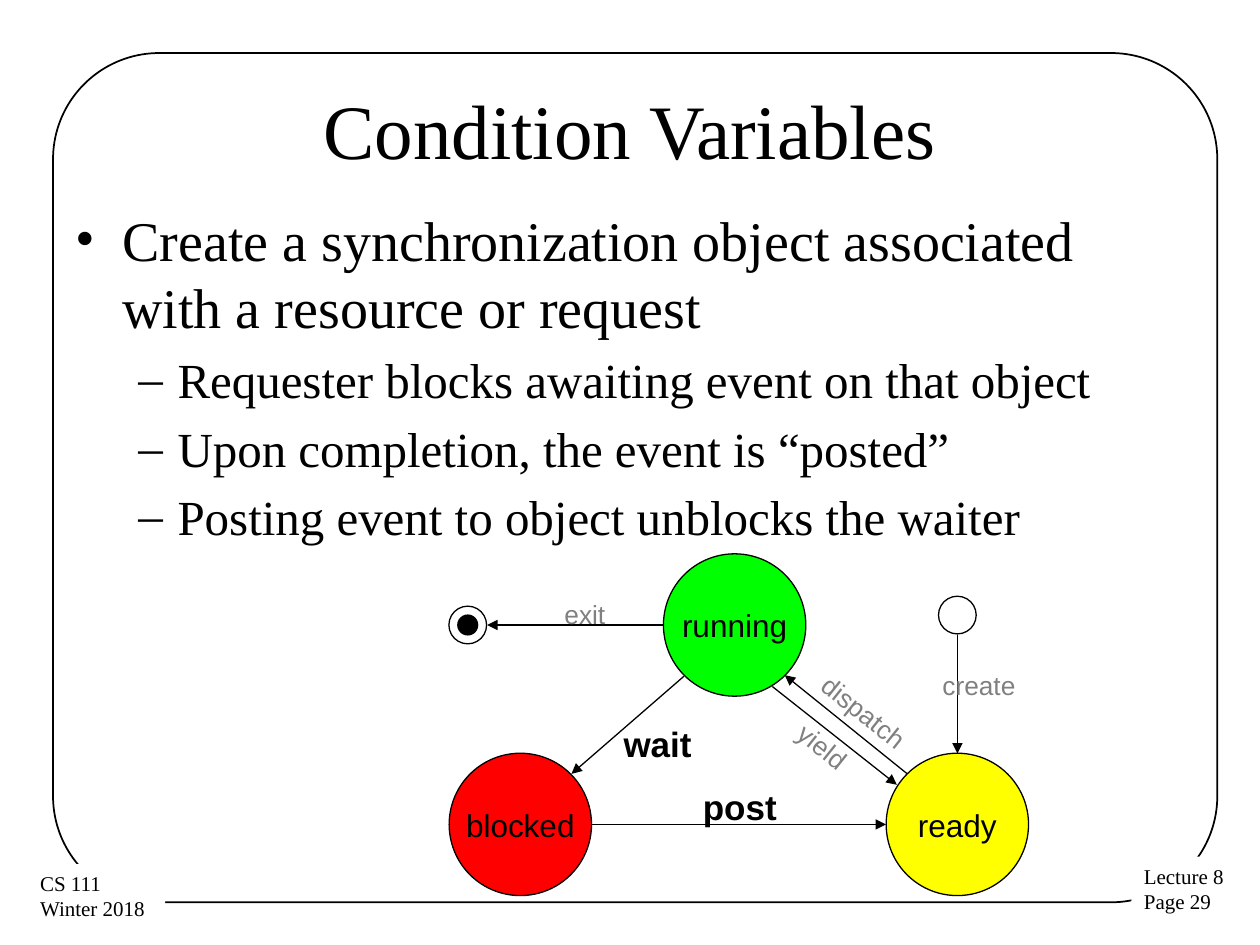
from pptx import Presentation
from pptx.dml.color import RGBColor
from pptx.enum.shapes import MSO_CONNECTOR as Link, MSO_SHAPE as Form
from pptx.enum.text import MSO_ANCHOR as Anchor, PP_ALIGN as Align
from pptx.oxml.ns import qn
from pptx.util import Cm, Pt
from lxml.etree import SubElement as Sub

SERIF, SANS = "Times New Roman", "Arial"
BLACK, GRAY, WHITE = "000000", "808080", "FFFFFF"
BIG, SMALL, DOT = 2.87, 0.76, 0.4


def color(text):
    """Turn a hex string into a colour."""
    return RGBColor.from_string(text)


def write(shape, text, size=12, font=SERIF, ink=BLACK, bold=False,
          align=Align.LEFT, anchor=Anchor.TOP, wrap=False, pad=0.25):
    """Fill a shape with one paragraph per line and return the paragraphs."""
    frame = shape.text_frame
    frame.text = text
    frame.word_wrap = wrap
    frame.vertical_anchor = anchor
    frame.margin_left = frame.margin_right = Cm(pad)
    frame.margin_top = frame.margin_bottom = Cm(0.13)
    for para in frame.paragraphs:
        para.alignment = align
        face = para.runs[0].font
        face.size, face.name, face.bold = Pt(size), font, bold
        face.color.rgb = color(ink)
    return frame.paragraphs


def box(slide, area, text, turn=0, **style):
    """Add a text box and return its paragraphs."""
    shape = slide.shapes.add_textbox(*map(Cm, area))
    shape.rotation = turn
    return write(shape, text, **style)


def draw(slide, form, area, fill=None, width=0.75):
    """Add a preset shape with an optional fill and outline."""
    shape = slide.shapes.add_shape(form, *map(Cm, area))
    shape.shadow.inherit = False
    if fill:
        shape.fill.solid()
        shape.fill.fore_color.rgb = color(fill)
    else:
        shape.fill.background()
    if width:
        shape.line.color.rgb = color(BLACK)
        shape.line.width = Pt(width)
    else:
        shape.line.fill.background()
    return shape


def disc(slide, x, y, size, fill=None):
    """Add a circle around a centre."""
    area = x - size / 2, y - size / 2, size, size
    return draw(slide, Form.OVAL, area, fill)


def arrow(slide, *ends):
    """Add a thin line with an arrowhead at its end."""
    line = slide.shapes.add_connector(Link.STRAIGHT, *map(Cm, ends))
    line.line.color.rgb = color(BLACK)
    line.line.width = Pt(0.75)
    Sub(line.line._get_or_add_ln(), qn("a:tailEnd"), type="triangle")
    Sub(line._element.spPr, qn("a:effectLst"))


def bullet(para, mark, size, left, hang, level):
    """Give a paragraph its bullet, indent, size and spacing."""
    para.level = level
    para.space_before = Pt(size * 0.2)
    para.runs[0].font.size = Pt(size)
    props = para._p.get_or_add_pPr()
    props.set("marL", str(Cm(left)))
    props.set("indent", str(-Cm(hang)))
    Sub(props, qn("a:buFont"), typeface=SERIF)
    Sub(props, qn("a:buChar"), char=mark)


def page(slide):
    """Add the frame, the corner notes, the title and the bullets."""
    frame = draw(slide, Form.ROUNDED_RECTANGLE, (1.07, 1.07, 23.47, 17.12), width=1)
    frame.adjustments[0] = 0.125
    for area, text in (
        ((22.81, 17.27, 2.16, 1.3), "Lecture 8\nPage 29"),
        ((0.56, 17.42, 2.77, 1.3), "CS 111\nWinter 2018"),
    ):
        write(draw(slide, Form.RECTANGLE, area, WHITE, 0), text)
    box(slide, (1.27, 1.02, 22.86, 3.17), "Condition Variables", size=44,
        align=Align.CENTER, anchor=Anchor.MIDDLE, wrap=True)
    lines = (
        "Create a synchronization object associated with a resource or request",
        "Requester blocks awaiting event on that object",
        "Upon completion, the event is “posted”",
        "Posting event to object unblocks the waiter",
    )
    head, *rest = box(slide, (1.27, 4.01, 22.86, 8.46), "\n".join(lines), wrap=True)
    bullet(head, "•", 32, 0.95, 0.95, 0)
    for para in rest:
        bullet(para, "–", 28, 2.06, 0.79, 1)


def graph(slide):
    """Add the state diagram."""
    for text, x, y, fill in (
        ("blocked", 10.49, 16.62, "FF0000"),
        ("ready", 19.3, 16.62, "FFFF00"),
        ("running", 14.81, 12.6, "00FF00"),
    ):
        write(disc(slide, x, y, BIG, fill), text, size=18, font=SANS,
              align=Align.CENTER, anchor=Anchor.MIDDLE, pad=0.23)
    disc(slide, 9.43, 12.6, SMALL)
    disc(slide, 9.43, 12.6, DOT, BLACK)
    disc(slide, 19.3, 12.4, SMALL)
    for ends in (
        (11.94, 16.62, 17.86, 16.62),
        (13.79, 13.63, 11.52, 15.6),
        (18.29, 15.6, 15.82, 13.61),
        (13.36, 12.6, 9.82, 12.6),
        (19.3, 12.8, 19.3, 15.19),
        (15.57, 13.84, 18.08, 15.82),
    ):
        arrow(slide, *ends)
    for text, x, y, width, turn in (
        ("exit", 11.15, 11.94, 1.3, 0),
        ("create", 18.77, 13.36, 1.96, 0),
        ("dispatch", 16.21, 13.92, 2.46, 38.5),
        ("yield", 15.82, 14.61, 1.57, 38.5),
    ):
        box(slide, (x, y, width, 0.86), text, turn, size=15, font=SANS,
            ink=GRAY, pad=0.23)
    for text, x, y, width in (
        ("post", 13.94, 15.7, 1.98),
        ("wait", 12.34, 14.43, 1.85),
    ):
        box(slide, (x, y, width, 1.09), text, size=20, font=SANS,
            bold=True, pad=0.23)


def main():
    """Build the slide and save it."""
    deck = Presentation()
    deck.slide_width, deck.slide_height = Cm(25.4), Cm(19.05)
    slide = deck.slides.add_slide(deck.slide_layouts[6])
    page(slide)
    graph(slide)
    deck.save("out.pptx")


if __name__ == "__main__":
    main()
